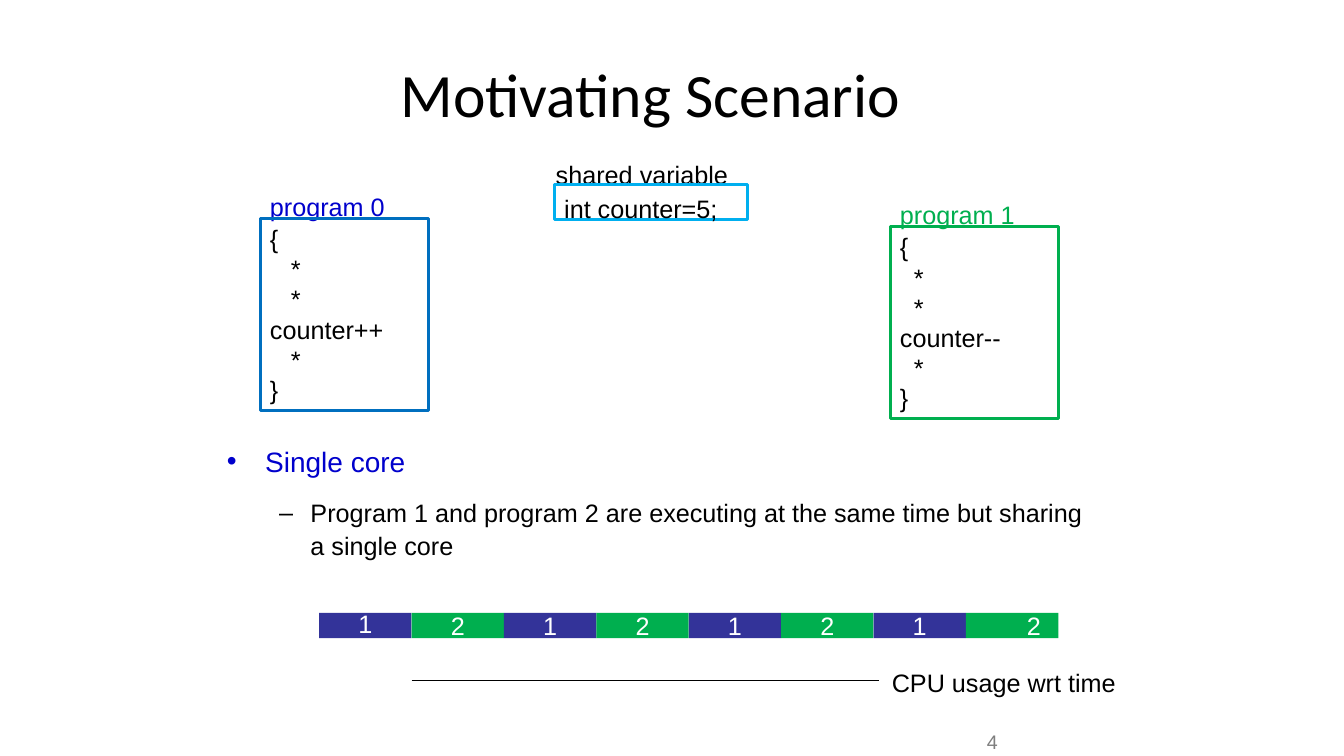
from lxml.etree import SubElement
from pptx import Presentation
from pptx.dml.color import RGBColor
from pptx.enum.shapes import MSO_CONNECTOR as Connector, MSO_SHAPE as Shape
from pptx.enum.text import MSO_ANCHOR as Anchor, PP_ALIGN as Align
from pptx.oxml.ns import qn
from pptx.util import Pt

BLACK = RGBColor(0x00, 0x00, 0x00)
WHITE = RGBColor(0xFF, 0xFF, 0xFF)
GRAY = RGBColor(0x7F, 0x7F, 0x7F)
BLUE = RGBColor(0x00, 0x00, 0xCC)
GREEN = RGBColor(0x00, 0xAF, 0x4F)
INDIGO = RGBColor(0x33, 0x33, 0x99)
FRAME_BLUE = RGBColor(0x00, 0x6F, 0xBF)
SKY = RGBColor(0x00, 0xAF, 0xEF)

TITLE = "Motivating Scenario"
PROGRAMS = [
    ("program 0", "counter++", 186, 156, 15, BLUE, FRAME_BLUE),
    ("program 1", "counter--", 636, 162, 10, GREEN, GREEN),
]
SHARED_LABEL = "shared variable"
SHARED_CODE = "int counter=5;"
POINTS = [
    ("Single core", "•", 20, BLUE, 27.4, 27.4, 0, None),
    ("Program 1 and program 2 are executing at the same time but sharing a single core",
     "–", 18, BLACK, 59.8, 22.4, 11.7, Pt(23.6)),
]
TIME_SLICES = [(1, 0, 0)] + [(2, 0, 3), (1, 0, 3)] * 3 + [(2, 31, 3)]
SLICE_COLORS = {1: INDIGO, 2: GREEN}
USAGE_LABEL = "CPU usage wrt time"
PAGE = "4"

SLICE_LEFT, SLICE_TOP, SLICE_WIDTH, SLICE_HEIGHT = 228, 437.8, 66, 18


def write(frame, lines, size=18, color=BLACK, font="Arial", align=Align.LEFT,
          anchor=Anchor.TOP, insets=(0, 0), spacing=None, wrap=False):
    frame.word_wrap = wrap
    frame.vertical_anchor = anchor
    frame.margin_left, frame.margin_top = Pt(insets[0]), Pt(insets[1])
    frame.margin_right = frame.margin_bottom = 0
    for number, line in enumerate(lines):
        paragraph = frame.add_paragraph() if number else frame.paragraphs[0]
        paragraph.alignment = align
        paragraph.line_spacing = spacing
        run = paragraph.add_run()
        run.text = line
        run.font.size = Pt(size)
        run.font.name = font
        run.font.color.rgb = color
    return frame


def text_box(left, top, width, height):
    return slide.shapes.add_textbox(Pt(left), Pt(top), Pt(width), Pt(height)).text_frame


def rectangle(left, top, width, height, fill=None, outline=None):
    box = slide.shapes.add_shape(Shape.RECTANGLE, Pt(left), Pt(top), Pt(width), Pt(height))
    box.shadow.inherit = False
    if fill is None:
        box.fill.background()
    else:
        box.fill.solid()
        box.fill.fore_color.rgb = fill
    if outline is None:
        box.line.fill.background()
    else:
        box.line.color.rgb = outline
        box.line.width = Pt(2.25)
    return box.text_frame


deck = Presentation()
deck.slide_width, deck.slide_height = Pt(960), Pt(540)
slide = deck.slides.add_slide(deck.slide_layouts[5])

title = slide.shapes.title
title.left, title.top, title.width, title.height = Pt(286), Pt(39), Pt(389), Pt(55)
write(title.text_frame, [TITLE], size=44, font="Calibri", anchor=Anchor.MIDDLE, wrap=True)

for name, step, left, top, star_indent, name_color, frame_color in PROGRAMS:
    write(text_box(left + 6.8, top - 19.7, 90, 21), [name], color=name_color)
    code = write(rectangle(left, top, 120, 137, outline=frame_color),
                 ["{", "*", "*", step, "*", "}"], insets=(6.8, 3.4), spacing=Pt(21.6))
    for paragraph in code.paragraphs:
        if paragraph.text == "*":
            paragraph._p.get_or_add_pPr().set("marL", str(Pt(star_indent)))

write(text_box(397, 113.7, 130, 21), [SHARED_LABEL])
write(rectangle(396, 131.8, 138, 25.2, outline=SKY), [SHARED_CODE], insets=(7, 6.2))

points = write(text_box(162, 317.5, 626, 75), [point[0] for point in POINTS], wrap=True)
for paragraph, point in zip(points.paragraphs, POINTS):
    wording, bullet, size, color, margin, hanging, before, spacing = point
    paragraph.space_before = Pt(before)
    paragraph.line_spacing = spacing
    properties = paragraph._p.get_or_add_pPr()
    properties.set("marL", str(Pt(margin)))
    properties.set("indent", str(-Pt(hanging)))
    SubElement(properties, qn("a:buFont"), typeface="Arial")
    SubElement(properties, qn("a:buChar"), char=bullet)
    paragraph.runs[0].font.size = Pt(size)
    paragraph.runs[0].font.color.rgb = color

for position, (program, left_inset, top_inset) in enumerate(TIME_SLICES):
    time_slice = rectangle(SLICE_LEFT + position * SLICE_WIDTH, SLICE_TOP,
                           SLICE_WIDTH, SLICE_HEIGHT, fill=SLICE_COLORS[program])
    write(time_slice, [str(program)], color=WHITE, align=Align.CENTER,
          anchor=Anchor.MIDDLE, insets=(left_inset, top_inset), spacing=Pt(18), wrap=True)

time_axis = slide.shapes.add_connector(Connector.STRAIGHT, Pt(294), Pt(486), Pt(628), Pt(486))
time_axis.line.color.rgb = BLACK
time_axis.line.width = Pt(0.75)
SubElement(time_axis._element.spPr, qn("a:effectLst"))
write(text_box(637, 476.6, 162, 21), [USAGE_LABEL])
write(text_box(705, 521.6, 12, 17), [PAGE], size=14, color=GRAY)

deck.save("out.pptx")
